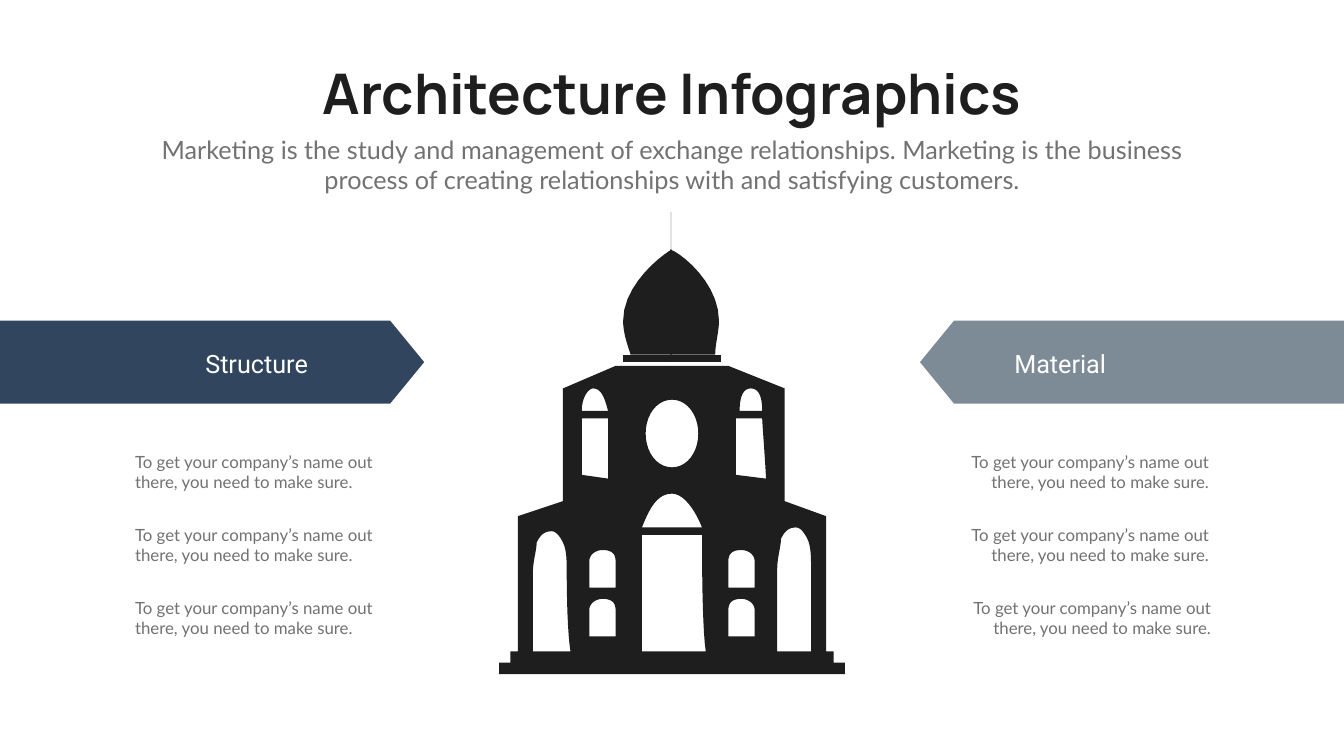
from pptx import Presentation
from pptx.dml.color import RGBColor
from pptx.enum.shapes import MSO_SHAPE
from pptx.enum.text import MSO_AUTO_SIZE, PP_ALIGN
from pptx.util import Inches, Pt

LEFT, CENTER, RIGHT = PP_ALIGN.LEFT, PP_ALIGN.CENTER, PP_ALIGN.RIGHT
PENTAGON = MSO_SHAPE.PENTAGON
GROW = MSO_AUTO_SIZE.SHAPE_TO_FIT_TEXT

INK, GRAY, WHITE = "1E1E1F", "727173", "FFFFFF"
NOTE = "To get your company’s name out there, you need to make sure."

presentation = Presentation()
presentation.slide_width = Inches(26.66)
presentation.slide_height = Inches(15)
slide = presentation.slides.add_slide(presentation.slide_layouts[6])

# The page is a grid of 100 columns by 100 rows
COLUMN = presentation.slide_width / 100
ROW = presentation.slide_height / 100

# The building has its own square grid: x from its axis, y from its roof
UNIT = Inches(3.43) / 46
AXIS, ROOF = 50 * COLUMN, 48.4 * ROW
CURVE_STEPS = 10


def add_text(shapes, text, left, top, width, height, font, size, color, align, bold=False, wrap=True):
    box = shapes.add_textbox(*(round(n) for n in (left * COLUMN, top * ROW, width * COLUMN, height * ROW)))
    box.text_frame.word_wrap = wrap
    box.text_frame.auto_size = GROW
    paragraph = box.text_frame.paragraphs[0]
    paragraph.text = text
    paragraph.alignment = align
    paragraph.font.name, paragraph.font.size, paragraph.font.bold = font, Pt(size), bold
    paragraph.font.color.rgb = RGBColor.from_string(color)


def add_outline(shapes, contours):
    """Pairs are corners; six numbers are a cubic curve from the last point."""
    builder = None
    for contour in contours:
        points = [contour[0]]
        for step in contour[1:]:
            if len(step) == 2:
                points.append(step)
                continue
            (x0, y0), (x1, y1, x2, y2, x3, y3) = points[-1], step
            for i in range(1, CURVE_STEPS + 1):
                t = i / CURVE_STEPS
                a, b, c, d = (1 - t) ** 3, 3 * t * (1 - t) ** 2, 3 * t * t * (1 - t), t ** 3
                points.append((a * x0 + b * x1 + c * x2 + d * x3, a * y0 + b * y1 + c * y2 + d * y3))
        points = [(AXIS + x * UNIT, ROOF + y * UNIT) for x, y in points]
        if builder is None:
            builder = shapes.build_freeform(*points[0])
        else:
            builder.move_to(*points[0])
        builder.add_line_segments(points[1:], close=True)
    shape = builder.convert_to_shape()
    shape.shadow.inherit = False
    shape.fill.solid()
    shape.fill.fore_color.rgb = RGBColor.from_string(INK)
    shape.line.fill.background()


# Heading
heading = slide.shapes.add_group_shape().shapes
add_text(heading, "Architecture Infographics", 21.7, 7.47, 56.6, 9.67,
         "Manrope", 80, INK, CENTER, bold=True, wrap=False)
add_text(heading, "Marketing is the study and management of exchange relationships. "
         "Marketing is the business process of creating relationships with and satisfying customers.",
         10.95, 17.4, 78.1, 8.73, "Lato", 36, GRAY, CENTER)

# Dome halves with the spire, and the ledge below
building = slide.shapes.add_group_shape().shapes
add_outline(building, [[(0, -41), (0, -31), (-2, -30, -13, -22, -13, -12),
                        (-13, -9, -12, -6, -11, -3), (0, -3)]])
add_outline(building, [[(12.5, -12), (12.5, -22, 2.5, -30, -0.5, -31), (-0.5, -41), (-0.5, -3),
                        (11.5, -3), (11.5, -6, 12.5, -9, 12.5, -12)]])
for side in (-1, 1):
    add_outline(building, [[(13 * side, -3), (13 * side, -1), (0, -1), (0, -3)]])

# Left half: wall, then arch, upper window and its pane
left_half = [
    [(-8, 76), (-8, 45), (0, 45), (0, 43), (-8, 43), (-6, 38, -4, 34, 0, 34), (0, 27),
     (-4, 27, -7, 23, -7, 18), (-7, 13, -4, 9, 0, 9), (0, 0), (-15, 0), (-29, 6), (-29, 36),
     (-41, 40), (-41, 76), (-43, 76), (-43, 79), (-46, 79), (-46, 82), (0, 82), (0, 76)],
    [(-37, 76), (-37, 55), (-37, 52, -36, 49, -36, 47), (-35, 45, -34, 44, -32, 44),
     (-31, 44, -30, 45, -29, 47), (-28, 49, -28, 52, -28, 55), (-28, 56, -28, 70, -27, 76)],
    [(-21, 6), (-19, 6, -18, 8, -17, 12), (-24, 12), (-24, 8, -22, 6, -21, 6)],
    [(-24, 14), (-17, 14), (-17, 30), (-24, 29)],
]

# Right half in the same order
right_half = [
    [(46, 79), (43, 79), (43, 76), (41, 76), (41, 40), (30, 36), (30, 6), (15, 0), (0, 0), (0, 9),
     (4, 9, 7, 13, 7, 18), (7, 23, 4, 27, 0, 27), (0, 34), (3, 34, 6, 38, 8, 43), (0, 43), (0, 45),
     (8, 45), (8, 48), (8, 50, 8, 70, 9, 76), (0, 76), (0, 82), (46, 82)],
    [(28, 76), (28, 54), (28, 51, 29, 48, 29, 46), (30, 44, 31, 43, 33, 43),
     (34, 43, 35, 44, 36, 46), (37, 48, 37, 51, 37, 54), (37, 76)],
    [(21, 6), (23, 6, 24, 8, 24, 12), (18, 12), (18, 8, 19, 6, 21, 6)],
    [(17, 29), (17, 14), (24, 14), (24, 15, 25, 28, 25, 30)],
]

# Two small round-headed windows on each side
for half, x, top_start, top_end in ((left_half, -22, 2, 6), (right_half, 15, 1, 5)):
    for sill, spring in ((72, 65), (59, 52)):
        crown = spring - 3
        half.append([(x, sill), (x, spring),
                     (x, crown + 1, x + top_start, crown, x + 3.5, crown),
                     (x + top_end, crown, x + 7, crown + 1, x + 7, spring), (x + 7, sill)])
    add_outline(building, half)

# Banners, labels and notes: the sides differ in places, colour and alignment
sides = (
    ("Structure", "31465E", -0.1, 0, 12.98, (9.68, 9.68, 9.68), LEFT),
    ("Material", "7D8B96", 68.45, 180, 72.77, (70.52, 70.52, 69.73), RIGHT),
)
for label, color, banner_left, rotation, label_left, note_lefts, align in sides:
    banner = slide.shapes.add_shape(PENTAGON, round(banner_left * COLUMN), round(42.4 * ROW),
                                    round(31.66 * COLUMN), round(11 * ROW))
    banner.adjustments[0] = 0.41
    banner.rotation = rotation
    banner.shadow.inherit = False
    banner.fill.solid()
    banner.fill.fore_color.rgb = RGBColor.from_string(color)
    banner.line.fill.background()
    add_text(slide.shapes, label, label_left, 45.73, 12.23, 4.73, "Roboto", 36, WHITE, CENTER)
    for i, (note_left, note_width) in enumerate(zip(note_lefts, (19.8, 19.8, 20.74))):
        add_text(slide.shapes, NOTE, note_left, 59.4 + 9.67 * i, note_width, 6.07, "Lato", 24, GRAY, align)

presentation.save("out.pptx")
